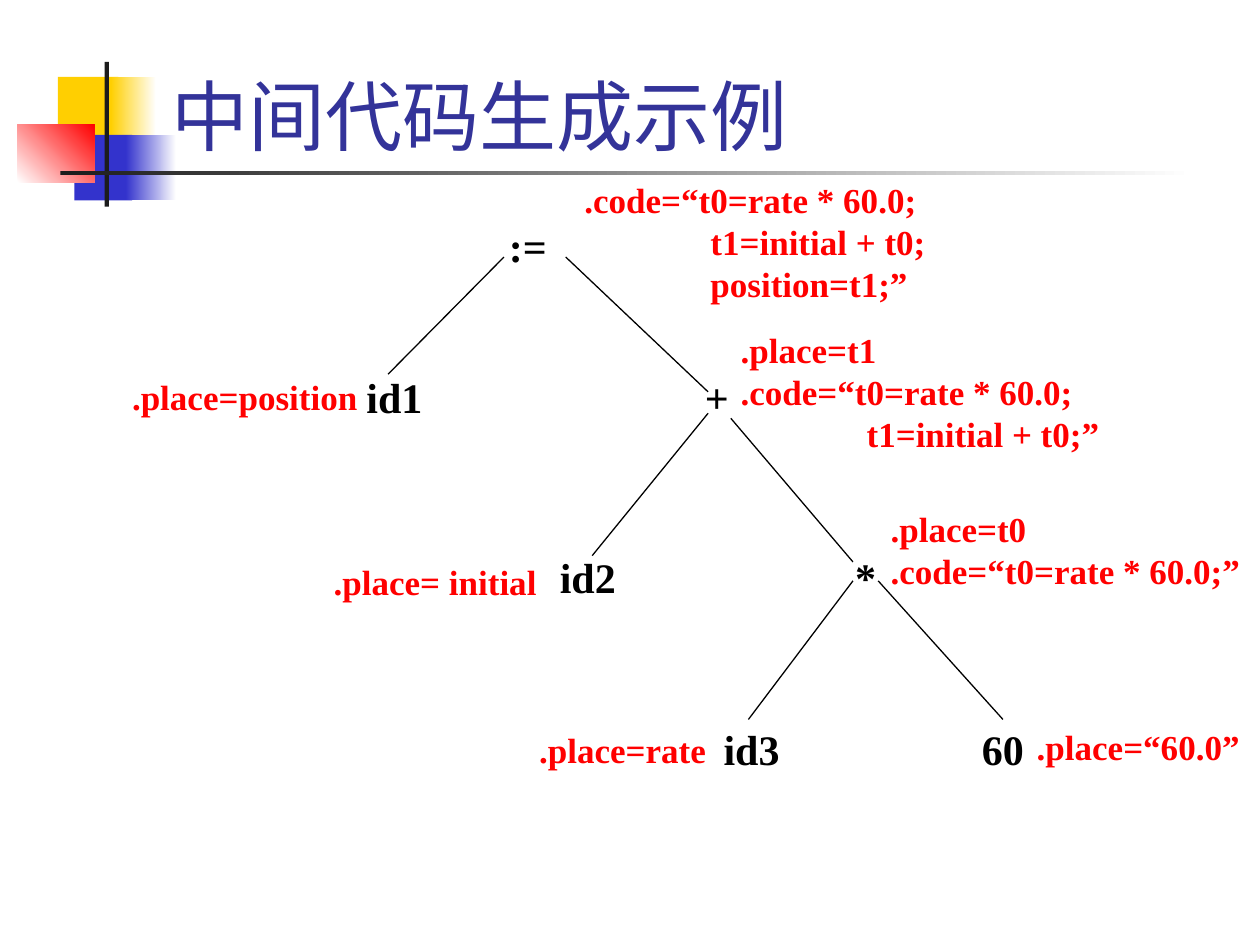
from lxml import etree
from pptx import Presentation, util as u
from pptx.dml.color import RGBColor
from pptx.enum import shapes, text
from pptx.oxml.ns import qn

WIDTH, HEIGHT = u.Inches(10), u.Inches(7.5)
COLUMN, ROW = WIDTH / 100, HEIGHT / 75  # grid of 100 columns by 75 rows
FONT = "Times New Roman"
YELLOW, BLUE, RED = "FFCF01", "3333CC", "FF0000"
BLACK, WHITE, DARK, TITLE = "000000", "FFFFFF", "1C1C1C", "333399"

# (left, top, width, height), colours, gradient angle
ORNAMENTS = [
    ((4.6, 6.1, 4.8, 5.2), [YELLOW], 0),
    ((8.8, 6.1, 3.6, 5.2), [YELLOW, WHITE], 0),
    ((5.9, 10.7, 4.6, 5.2), [BLUE], 0),
    ((10, 10.7, 4, 5.2), [BLUE, WHITE], 0),
    ((1.4, 9.9, 6.1, 4.6), [WHITE, RED], 45),
    ((8.3, 4.9, 0.35, 11.5), [DARK], 0),
    ((4.8, 13.6, 90, 0.3), [DARK, WHITE], 0),
]

# label, left, top, width
NODES = [
    ("id1", 26.7, 29, 9.2),
    ("id2", 38.6, 43.3, 16.1),
    ("id3", 51.6, 56.9, 16.1),
    ("+", 52.6, 29, 8.6),
    ("*", 64.4, 43.3, 8.6),
    ("60", 75.3, 56.9, 8.6),
]

BRANCHES = [
    ((40, 20.4), (30.8, 29.7)),
    ((44.9, 20.4), (56.2, 31.1)),
    ((56.2, 32.8), (47, 44.1)),
    ((58, 33.2), (67.7, 44.6)),
    ((67.7, 46.1), (59.4, 57.1)),
    ((69.7, 46.1), (79.6, 57.1)),
]

# left, top, width, lines
ATTRIBUTES = [
    (45.4, 13.7, 31.4, [".code=“t0=rate * 60.0;", "\tt1=initial + t0;", "\tposition=t1;”"]),
    (57.8, 25.6, 31.4, [".place=t1", ".code=“t0=rate * 60.0;", "\tt1=initial + t0;”"]),
    (69.7, 39.8, 31.4, [".place=t0", ".code=“t0=rate * 60.0;”"]),
    (9.5, 29.3, 20, [".place=position"]),
    (25.5, 44, 18.8, [".place= initial"]),
    (41.8, 57.3, 16.5, [".place=rate"]),
    (81.3, 57.1, 18.6, [".place=“60.0”"]),
]


def color(hex_code):
    return RGBColor.from_string(hex_code)


def grid(*lengths):
    """Turn alternating column and row counts into lengths on the slide."""
    return [round(n * (ROW if i % 2 else COLUMN)) for i, n in enumerate(lengths)]


def add_ornament(slide, place, colors, angle):
    block = slide.shapes.add_shape(shapes.MSO_SHAPE.RECTANGLE, *grid(*place))
    block.shadow.inherit = False
    block.line.fill.background()
    if len(colors) == 1:
        block.fill.solid()
        block.fill.fore_color.rgb = color(colors[0])
        return
    block.fill.gradient()
    block.fill.gradient_angle = angle
    for stop, hex_code in zip(block.fill.gradient_stops, colors):
        stop.color.rgb = color(hex_code)


def add_tab_stop(paragraph, position):
    stops = etree.SubElement(paragraph._p.get_or_add_pPr(), qn("a:tabLst"))
    etree.SubElement(stops, qn("a:tab"), pos=str(int(position)), algn="l")


def add_text(slide, place, lines, size, hex_code, bold=True,
             align=text.PP_ALIGN.LEFT, anchor=text.MSO_ANCHOR.TOP):
    frame = slide.shapes.add_textbox(*grid(*place)).text_frame
    frame.word_wrap = True
    frame.vertical_anchor = anchor
    for i, line in enumerate(lines):
        paragraph = frame.paragraphs[0] if i == 0 else frame.add_paragraph()
        paragraph.alignment = align
        if line.startswith("\t"):
            add_tab_stop(paragraph, 10 * COLUMN)
        run = paragraph.add_run()
        run.text = line
        run.font.name, run.font.size, run.font.bold = FONT, u.Pt(size), bold
        run.font.color.rgb = color(hex_code)


def add_branch(slide, start, end):
    branch = slide.shapes.add_connector(
        shapes.MSO_CONNECTOR.STRAIGHT, *grid(*start, *end))
    branch.line.color.rgb = color(BLACK)
    branch.line.width = u.Pt(0.75)
    etree.SubElement(branch._element.spPr, qn("a:effectLst"))


def main():
    deck = Presentation()
    deck.slide_width, deck.slide_height = WIDTH, HEIGHT
    slide = deck.slides.add_slide(deck.slide_layouts[6])

    for place, colors, angle in ORNAMENTS:
        add_ornament(slide, place, colors, angle)
    add_text(slide, (12.6, 0.8, 85.2, 12.5), ["中间代码生成示例"], 44, TITLE,
             bold=False, anchor=text.MSO_ANCHOR.BOTTOM)

    add_text(slide, (39.4, 17, 8.6, 5), [":="], 24, BLACK)
    for label, left, top, width in NODES:
        add_text(slide, (left, top, width, 5), [label], 24, BLACK,
                 align=text.PP_ALIGN.CENTER)
    for start, end in BRANCHES:
        add_branch(slide, start, end)
    for left, top, width, lines in ATTRIBUTES:
        height = 1 + 3.37 * len(lines)
        add_text(slide, (left, top, width, height), lines, 20, RED)

    deck.save("out.pptx")


if __name__ == "__main__":
    main()
